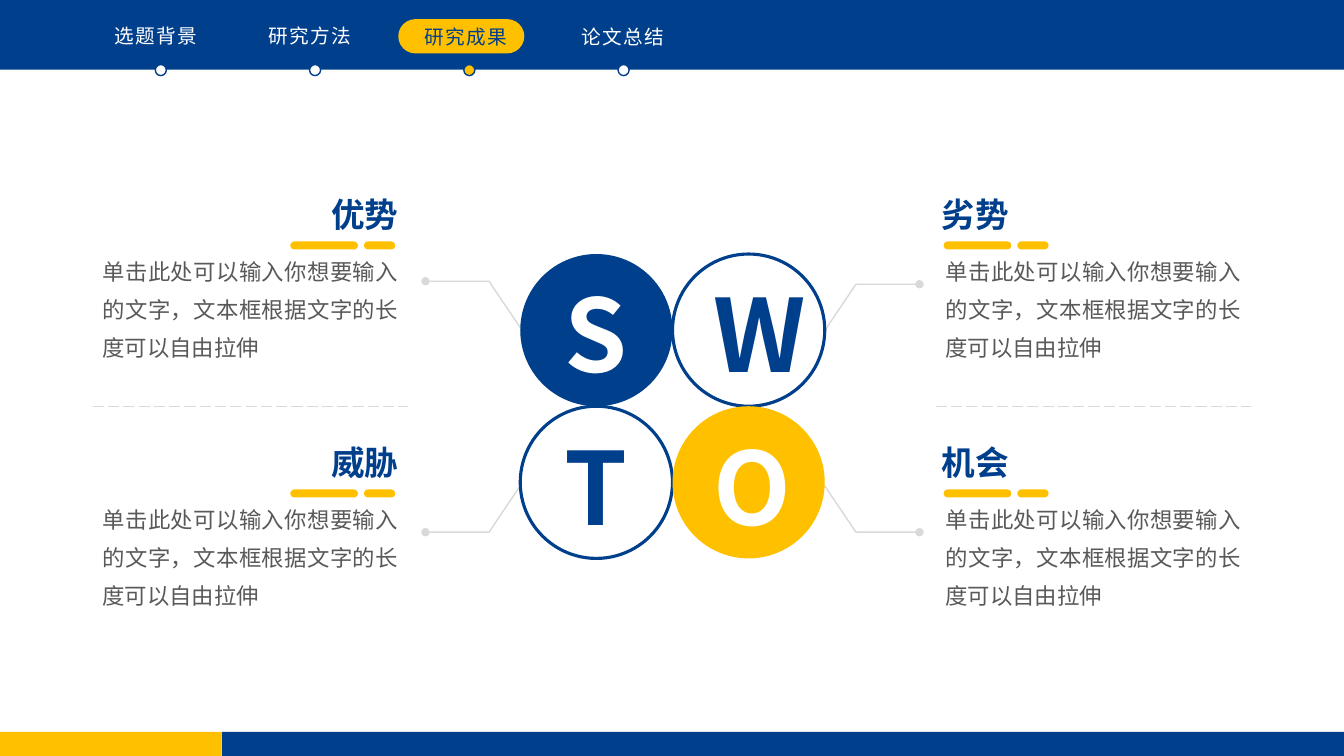
import pptx
import pptx.util
import pptx.dml.color
import pptx.enum.dml
import pptx.enum.shapes
import pptx.enum.text
import pptx.oxml.ns
import lxml.etree

Inches = pptx.util.Inches
Pt = pptx.util.Pt
Shape = pptx.enum.shapes.MSO_SHAPE
Align = pptx.enum.text.PP_ALIGN
qn = pptx.oxml.ns.qn

HEX = {"navy": "003F8B", "gold": "FFC000", "white": "FFFFFF",
       "gray": "595959", "pale": "D9D9D9"}
CJK = "Noto Sans CJK SC"
NAV = {"name": CJK, "size": Pt(14)}
MARK = {"name": CJK, "size": Pt(72), "bold": True}
HEAD = {"name": CJK, "size": Pt(24), "bold": True}
BODY = {"name": "Arial", "size": Pt(16)}
COPY = "单击此处可以输入你想要输入的文字，文本框根据文字的长度可以自由拉伸"


def color(name):
    return pptx.dml.color.RGBColor.from_string(HEX[name])


def stroke(line, name, width):
    line.color.rgb = color(name)
    line.width = Pt(width)


def shape(slide, kind, box, fill, edge=None, width=1):
    item = slide.shapes.add_shape(kind, *map(Inches, box))
    item.shadow.inherit = False
    item.fill.solid()
    item.fill.fore_color.rgb = color(fill)
    if edge:
        stroke(item.line, edge, width)
    else:
        item.line.fill.background()
    if kind == Shape.ROUNDED_RECTANGLE:
        item.adjustments[0] = 0.5
    return item


def text(slide, box, words, form, tint, align, inset=True, space=None, track=0):
    frame = slide.shapes.add_textbox(*map(Inches, box)).text_frame
    frame.word_wrap = True
    if not inset:
        for side in ("left", "top", "right", "bottom"):
            setattr(frame, "margin_" + side, 0)
    para = frame.paragraphs[0]
    para.alignment = align
    if space:
        para.line_spacing = space
    run = para.add_run()
    run.text = words
    for key, value in form.items():
        setattr(run.font, key, value)
    run.font.color.rgb = color(tint)
    props = run.font._element
    if track:
        props.set("spc", str(track * 100))
    lxml.etree.SubElement(props, qn("a:ea")).set("typeface", CJK)


def header(slide, box):
    left, top, width, height = box
    shape(slide, Shape.RECTANGLE, box, "navy")
    tabs = [("选题背景", 0.88, 0.19, 1.34), ("研究方法", 2.34, 0.19, 1.47),
            ("研究成果", 3.95, 0.2, 1.34), ("论文总结", 5.43, 0.2, 1.49)]
    for spot, (words, x, y, wide) in enumerate(tabs):
        live = spot == 2
        if live:
            shape(slide, Shape.ROUNDED_RECTANGLE,
                  (left + x, top + 0.19, 1.25, 0.34), "gold")
        shape(slide, Shape.OVAL,
              (left + 1.54 + 1.53 * spot, top + height - 0.05, 0.11, 0.11),
              "gold" if live else "white", "navy")
        text(slide, (left + x, top + y, wide, 0.34), words, NAV,
             "navy" if live else "white", Align.CENTER, track=1)


def footer(slide, box):
    left, top, width, height = box
    shape(slide, Shape.RECTANGLE, (left + 2.2, top, width - 2.2, height), "navy")
    shape(slide, Shape.RECTANGLE, (left, top, 2.2, height), "gold")


def leader(slide, x, y, side, rise):
    points = [(x, y), (x + side * 0.31, y + rise), (x + side * 0.94, y + rise)]
    points = [tuple(map(Inches, point)) for point in points]
    build = slide.shapes.build_freeform(*points[0], scale=1)
    build.add_line_segments(points[1:], close=False)
    item = build.convert_to_shape()
    item.shadow.inherit = False
    item.fill.background()
    stroke(item.line, "pale", 1)
    edge = item._element.spPr.find(qn("a:ln"))
    lxml.etree.SubElement(edge, qn("a:tailEnd")).set("type", "oval")


def wheel(slide, box):
    left, top, width, height = box
    size = width / 2
    right = left + width
    leader(slide, left, top + 0.73, -1, -0.46)
    leader(slide, right, top + 0.76, 1, -0.46)
    leader(slide, left, top + 2.3, -1, 0.46)
    leader(slide, right, top + 2.3, 1, 0.46)
    marks = [("S", "navy", None, "white"), ("W", "white", "navy", "navy"),
             ("T", "white", "navy", "navy"), ("O", "gold", None, "white")]
    for spot, (words, fill, edge, tint) in enumerate(marks):
        row, col = divmod(spot, 2)
        x, y = left + col * size, top + row * size
        shape(slide, Shape.OVAL, (x, y, size, size), fill, edge, 2.25)
        text(slide, (x + 0.31, y + 0.13, 0.89, 1.31), words, MARK, tint,
             Align.CENTER)


def card(slide, box, title, flip):
    left, top, width, height = box
    head, bars = (1.47, 1.96) if flip else (0.06, 0.08)
    text(slide, (left + head, top, 1.56, 0.4), title, HEAD, "navy",
         Align.RIGHT if flip else Align.LEFT, inset=False)
    text(slide, (left, top + 0.49, width, height - 0.49), COPY, BODY, "gray",
         Align.JUSTIFY, space=1.4)
    for shift, wide in ((0, 0.67), (0.73, 0.31)):
        shape(slide, Shape.ROUNDED_RECTANGLE,
              (left + bars + shift, top + 0.475, wide, 0.08), "gold")


def column(slide, box, titles, flip):
    left, top, width, height = box
    for row, title in enumerate(titles):
        card(slide, (left, top + 2.46 * row, width, height - 2.46), title, flip)
    y = Inches(top + 2.11)
    rule = slide.shapes.add_connector(
        pptx.enum.shapes.MSO_CONNECTOR.STRAIGHT,
        Inches(left), y, Inches(left + width), y)
    stroke(rule.line, "pale", 1)
    rule.line.dash_style = pptx.enum.dml.MSO_LINE.LONG_DASH
    lxml.etree.SubElement(rule._element.spPr, qn("a:effectLst"))


def main():
    deck = pptx.Presentation()
    deck.slide_width, deck.slide_height = Inches(13.33), Inches(7.5)
    slide = deck.slides.add_slide(deck.slide_layouts[6])
    header(slide, (0, 0, 13.33, 0.69))
    footer(slide, (0, 7.26, 13.33, 0.24))
    wheel(slide, (5.16, 2.52, 3.02, 3.02))
    column(slide, (0.92, 1.92, 3.13, 4.14), ("优势", "威胁"), True)
    column(slide, (9.28, 1.92, 3.13, 4.14), ("劣势", "机会"), False)
    deck.save("out.pptx")


if __name__ == "__main__":
    main()
